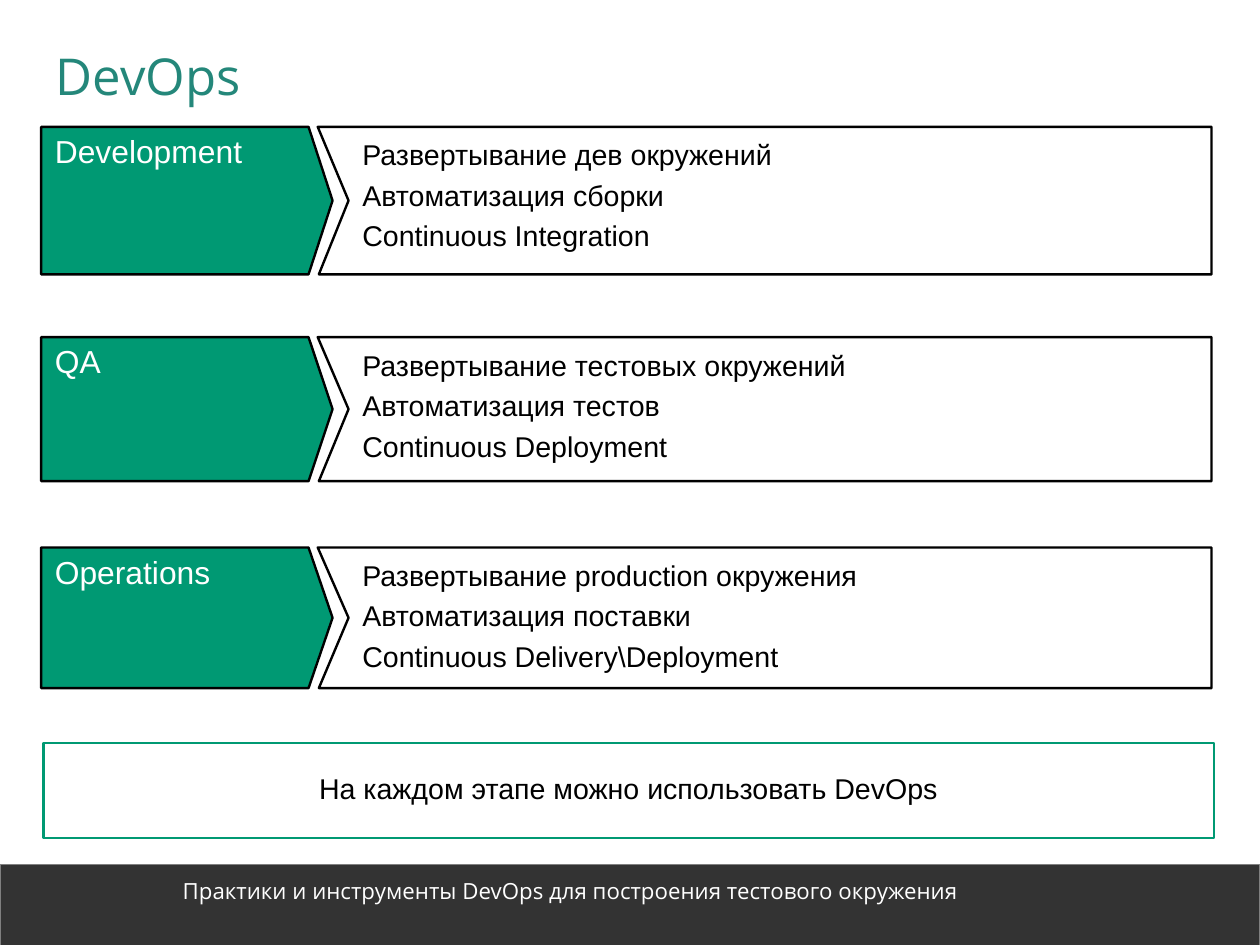
from pptx import Presentation
from pptx.dml.color import RGBColor
from pptx.enum.shapes import MSO_SHAPE
from pptx.enum.text import MSO_ANCHOR, PP_ALIGN
from pptx.util import Emu, Inches, Pt

RECT = MSO_SHAPE.RECTANGLE
TOP, MIDDLE = MSO_ANCHOR.TOP, MSO_ANCHOR.MIDDLE
LEFT, CENTER = PP_ALIGN.LEFT, PP_ALIGN.CENTER

COLORS = {
    "white": "FFFFFF",
    "black": "000000",
    "green": "009973",
    "title": "24877A",
    "footer": "333333",
    "gray": "808080",
}

# Top, height, stage name, practices
STAGES = [
    (1.11, 1.29, "Development",
     ["Развертывание дев окружений", "Автоматизация сборки",
      "Continuous Integration"]),
    (2.95, 1.26, "QA",
     ["Развертывание тестовых окружений", "Автоматизация тестов",
      "Continuous Deployment"]),
    (4.79, 1.23, "Operations",
     ["Развертывание production окружения", "Автоматизация поставки",
      "Continuous Delivery\\Deployment"]),
]


def rgb(name):
    return RGBColor.from_string(COLORS[name])


def paint(sp, fill, line, width=1.5):
    sp.shadow.inherit = False
    sp.fill.solid()
    sp.fill.fore_color.rgb = rgb(fill)
    sp.line.color.rgb = rgb(line)
    sp.line.width = Pt(width)


def write(sp, lines, size, color, insets, font="Arial", spacing=0.9,
          before=0, align=LEFT, anchor=TOP):
    tf = sp.text_frame
    tf.word_wrap = True
    tf.vertical_anchor = anchor
    (tf.margin_left, tf.margin_top,
     tf.margin_right, tf.margin_bottom) = [Inches(i) for i in insets]
    for i, line in enumerate(lines):
        p = tf.paragraphs[0] if i == 0 else tf.add_paragraph()
        p.text = line
        p.alignment = align
        p.line_spacing = spacing
        if i and before:
            p.space_before = Pt(before)
        p.font.name = font
        p.font.size = Pt(size)
        p.font.color.rgb = rgb(color)


def add_box(s, at, fill, line, width=1.5):
    sp = s.shapes.add_shape(RECT, *[Inches(v) for v in at])
    paint(sp, fill, line, width)
    return sp


def add_label(s, at, text, size, color, insets, spacing):
    sp = s.shapes.add_textbox(*[Inches(v) for v in at])
    write(sp, [text], size, color, insets, "Open Sans", spacing)


def add_outline(s, points, fill):
    start, *rest = [(Inches(x), Inches(y)) for x, y in points]
    builder = s.shapes.build_freeform(*start, scale=1.0)
    builder.add_line_segments(rest, close=True)
    sp = builder.convert_to_shape()
    paint(sp, fill, "black")
    return sp


def add_stage(s, top, height, name, practices):
    middle, bottom = top + height / 2, top + height
    # Notched panel with practices
    panel = add_outline(s, [(10.6, top), (2.78, top), (3.05, middle),
                            (2.79, bottom), (10.6, bottom)], "white")
    write(panel, practices, 18, "black", (0.39, 0.08, 0.12, 0.08),
          spacing=1.04, before=3)
    # Arrow with the stage name
    arrow = add_outline(s, [(0.36, top), (2.7, top), (2.91, middle),
                            (2.7, bottom), (0.36, bottom)], "green")
    write(arrow, [name], 20, "white", (0.12, 0.08, 0.12, 0.08))


def main():
    prs = Presentation()
    # 28 by 21 cm page
    prs.slide_width, prs.slide_height = Emu(10080625), Emu(7559675)
    s = prs.slides.add_slide(prs.slide_layouts[6])

    # Footer
    add_box(s, (0, 7.56, 11.02, 0.71), "footer", "gray", 0.75)
    add_label(s, (1.5, 7.64, 9.21, 0.55),
              "Практики и инструменты DevOps для построения тестового окружения",
              14, "white", (0.1, 0.05, 0.1, 0.05), 0.96)

    # Title
    add_label(s, (0.39, 0.27, 10.25, 0.95), "DevOps", 32, "title",
              (0.1, 0.05, 0.1, 0.05), 1.13)

    # Stages
    for stage in STAGES:
        add_stage(s, *stage)

    # Conclusion
    conclusion = add_box(s, (0.38, 6.5, 10.24, 0.83), "white", "green")
    write(conclusion, ["На каждом этапе можно использовать DevOps"], 18,
          "black", (0.12, 0.12, 0.12, 0.12), align=CENTER, anchor=MIDDLE)

    prs.save("out.pptx")


if __name__ == "__main__":
    main()
